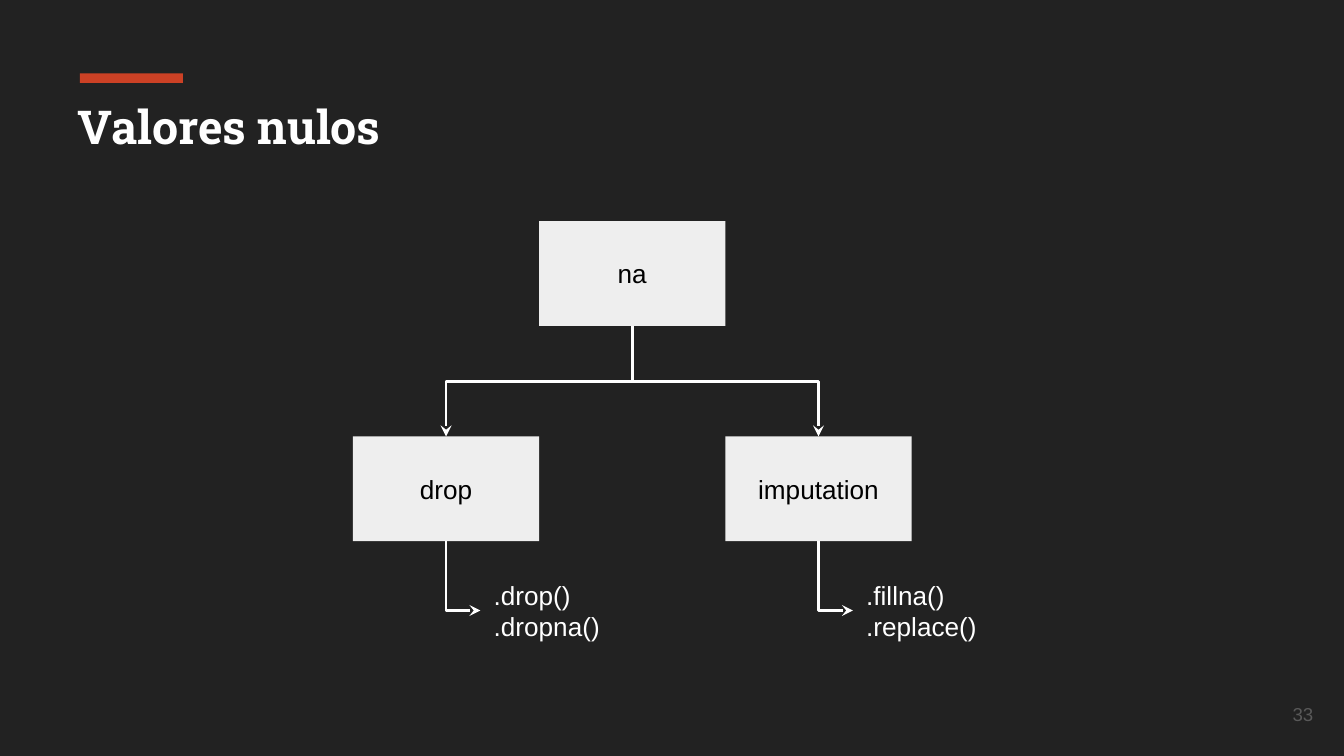
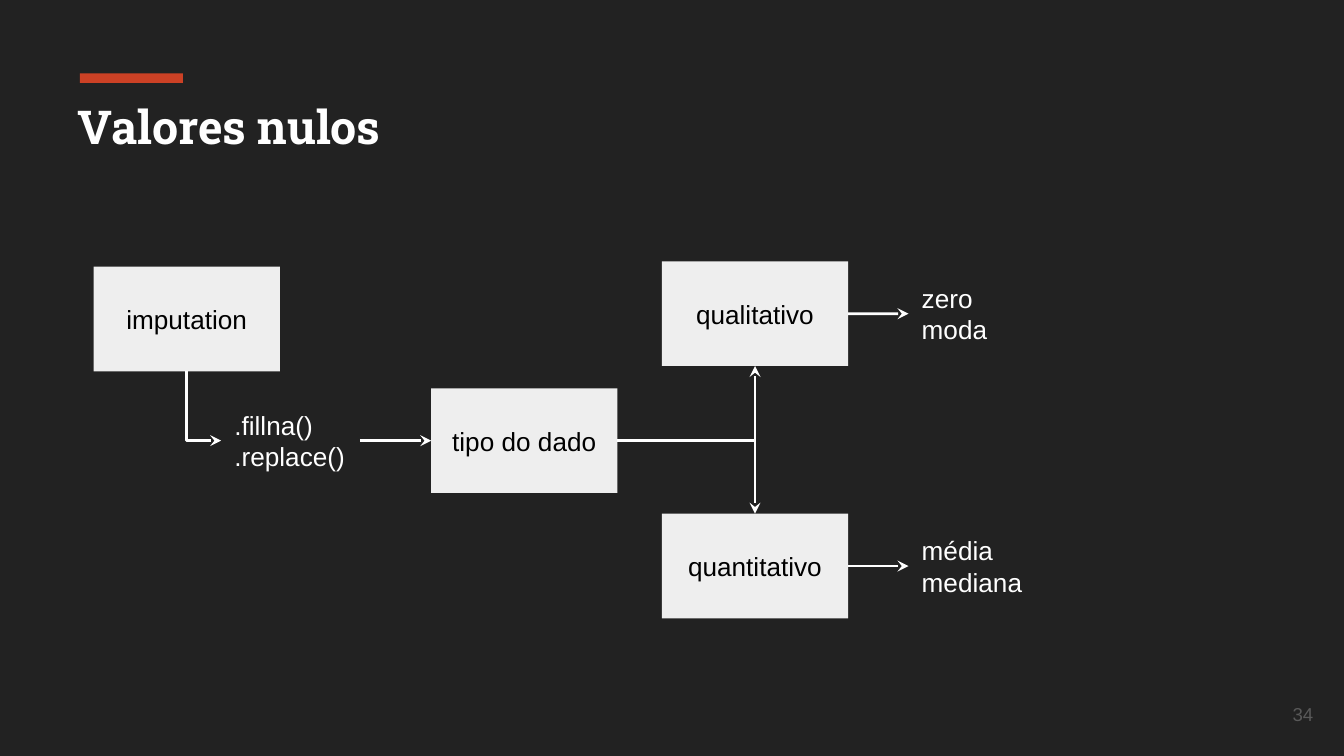
import lxml.etree
import pptx
import pptx.dml.color
import pptx.enum.shapes
import pptx.enum.text
import pptx.oxml.ns
import pptx.util

Cm = pptx.util.Cm
RGBColor = pptx.dml.color.RGBColor
ALIGN = pptx.enum.text.PP_ALIGN
ANCHOR = pptx.enum.text.MSO_ANCHOR
CONNECTOR = pptx.enum.shapes.MSO_CONNECTOR
qn = pptx.oxml.ns.qn

BACKGROUND = RGBColor(0x22, 0x22, 0x22)
ACCENT = RGBColor(0xCC, 0x41, 0x25)
BOX_FILL = RGBColor(0xEE, 0xEE, 0xEE)
WHITE = RGBColor(0xFF, 0xFF, 0xFF)
BLACK = RGBColor(0, 0, 0)
GREY = RGBColor(0x59, 0x59, 0x59)

TOP, LEFT, BOTTOM, RIGHT = range(4)
BOX_SIZE = (3.52, 1.98)
NOTE_SIZE = (2.62, 1.35)
BRANCH = 3.52  # sideways step from the root to each branch
BELOW = (1.96, 2.3)  # from a box centre to the note under it
BESIDE = (4.21, 0)  # from a box centre to the note at its right

# Boxes: name -> centre in cm. Notes: name -> (lines, box it hangs on, offset).
SLIDES = [
    {
        "title": "Valores nulos", "title_height": 1.83, "number": "33",
        "boxes": {
            "na": (11.95, 5.17),
            "drop": (11.95 - BRANCH, 9.24),
            "imputation": (11.95 + BRANCH, 9.24),
        },
        "notes": {
            "drop methods": (".drop()\n.dropna()", "drop", BELOW),
            "imputation methods": (".fillna()\n.replace()", "imputation", BELOW),
        },
        "links": [
            ("na", BOTTOM, "drop", TOP),
            ("na", BOTTOM, "imputation", TOP),
            ("drop", BOTTOM, "drop methods", LEFT),
            ("imputation", BOTTOM, "imputation methods", LEFT),
        ],
    },
    {
        "title": "Valores nulos", "title_height": 1.42, "number": "34",
        "boxes": {
            "imputation": (3.53, 6.03),
            "tipo do dado": (9.91, 8.33),
            "qualitativo": (14.27, 5.93),
            "quantitativo": (14.27, 10.7),
        },
        "notes": {
            "imputation methods": (".fillna()\n.replace()", "imputation", BELOW),
            "qualitative values": ("zero\nmoda", "qualitativo", BESIDE),
            "quantitative values": ("média\nmediana", "quantitativo", BESIDE),
        },
        "links": [
            ("imputation", BOTTOM, "imputation methods", LEFT),
            ("imputation methods", RIGHT, "tipo do dado", LEFT),
            ("tipo do dado", RIGHT, "quantitativo", TOP),
            ("tipo do dado", RIGHT, "qualitativo", BOTTOM),
            ("quantitativo", RIGHT, "quantitative values", LEFT),
            ("qualitativo", RIGHT, "qualitative values", LEFT),
        ],
    },
]

TITLE_FONT = {"name": "Roboto Slab", "size": pptx.util.Pt(25), "bold": True}
NODE_FONT = {"name": "Arial", "size": pptx.util.Pt(14)}
NUMBER_FONT = {"name": "Arial", "size": pptx.util.Pt(10)}


def write(shape, text, font, color, align=ALIGN.LEFT, anchor=ANCHOR.MIDDLE):
    frame = shape.text_frame
    frame.text = text
    layout = {"word_wrap": True, "vertical_anchor": anchor,
              "auto_size": pptx.enum.text.MSO_AUTO_SIZE.NONE}
    for side in ("left", "top", "right", "bottom"):
        layout["margin_" + side] = Cm(0.25)
    for name, value in layout.items():
        setattr(frame, name, value)
    for paragraph in frame.paragraphs:
        paragraph.alignment = align
        for name, value in font.items():
            setattr(paragraph.font, name, value)
        paragraph.font.color.rgb = color


def add_rectangle(slide, place, color):
    rectangle = slide.shapes.add_shape(
        pptx.enum.shapes.MSO_SHAPE.RECTANGLE, *place)
    rectangle.shadow.inherit = False
    rectangle.fill.solid()
    rectangle.fill.fore_color.rgb = color
    rectangle.line.fill.background()
    return rectangle


def centred(centre, size):
    return [Cm(c - s / 2) for c, s in zip(centre, size)] + [Cm(s) for s in size]


def side_point(shape, side):
    across = {LEFT: 0, RIGHT: 2}.get(side, 1)
    down = {TOP: 0, BOTTOM: 2}.get(side, 1)
    return (shape.left + shape.width * across // 2,
            shape.top + shape.height * down // 2)


def add_arrow(slide, start, start_side, end, end_side):
    """Straight between facing left and right sides, otherwise an elbow."""
    x1, y1 = side_point(start, start_side)
    x2, y2 = side_point(end, end_side)
    leaves_level = start_side in (LEFT, RIGHT)
    arrives_level = end_side in (LEFT, RIGHT)
    straight = leaves_level and arrives_level
    rotation = 0
    if not leaves_level:
        # An elbow leaves level, so lay it on its side and turn it back.
        middle_x, middle_y = (x1 + x2) // 2, (y1 + y2) // 2
        rightward = x2 > x1
        reach = (y2 - y1) // 2 * (-1 if rightward else 1)
        rise = abs(x2 - x1) // 2
        x1, x2 = middle_x - reach, middle_x + reach
        y1, y2 = middle_y - rise, middle_y + rise
        rotation = 270 if rightward else 90
    kind = CONNECTOR.STRAIGHT if straight else CONNECTOR.ELBOW
    arrow = slide.shapes.add_connector(kind, x1, y1, x2, y2)
    properties = arrow.element.spPr
    if straight:
        arrow.begin_connect(start, start_side)
        arrow.end_connect(end, end_side)
    elif leaves_level != arrives_level:
        properties.find(qn("a:prstGeom")).set("prst", "bentConnector2")
    if rotation:
        properties.find(qn("a:xfrm")).set("rot", str(rotation * 60000))
    arrow.line.color.rgb = WHITE
    arrow.line.width = pptx.util.Pt(1.5)
    lxml.etree.SubElement(
        properties.find(qn("a:ln")), qn("a:tailEnd"), type="stealth")
    lxml.etree.SubElement(properties, qn("a:effectLst"))


def add_frame(slide, content):
    """Accent band, title and slide number."""
    add_rectangle(slide, (Cm(1.51), Cm(1.39), Cm(1.95), Cm(0.18)), ACCENT)
    title = slide.shapes.title
    place = {"left": 1.22, "top": 1.6, "width": 13.59,
             "height": content["title_height"]}
    for name, value in place.items():
        setattr(title, name, Cm(value))
    write(title, content["title"], TITLE_FONT, WHITE, anchor=ANCHOR.TOP)
    number = slide.shapes.add_textbox(Cm(23.55), Cm(12.95), Cm(1.52), Cm(1.09))
    write(number, content["number"], NUMBER_FONT, GREY, ALIGN.RIGHT)


def add_diagram(slide, content):
    nodes = {}
    for name, centre in content["boxes"].items():
        nodes[name] = add_rectangle(slide, centred(centre, BOX_SIZE), BOX_FILL)
        write(nodes[name], name, NODE_FONT, BLACK, ALIGN.CENTER)
    for name, (lines, box, offset) in content["notes"].items():
        centre = [c + o for c, o in zip(content["boxes"][box], offset)]
        nodes[name] = slide.shapes.add_textbox(*centred(centre, NOTE_SIZE))
        write(nodes[name], lines, NODE_FONT, WHITE)
    for start, start_side, end, end_side in content["links"]:
        add_arrow(slide, nodes[start], start_side, nodes[end], end_side)


def main():
    deck = pptx.Presentation()
    deck.slide_width, deck.slide_height = Cm(25.4), Cm(14.29)
    background = deck.slide_master.background.fill
    background.solid()
    background.fore_color.rgb = BACKGROUND
    title_only = deck.slide_layouts.get_by_name("Title Only")
    for content in SLIDES:
        slide = deck.slides.add_slide(title_only)
        add_frame(slide, content)
        add_diagram(slide, content)
    deck.save("out.pptx")


if __name__ == "__main__":
    main()
